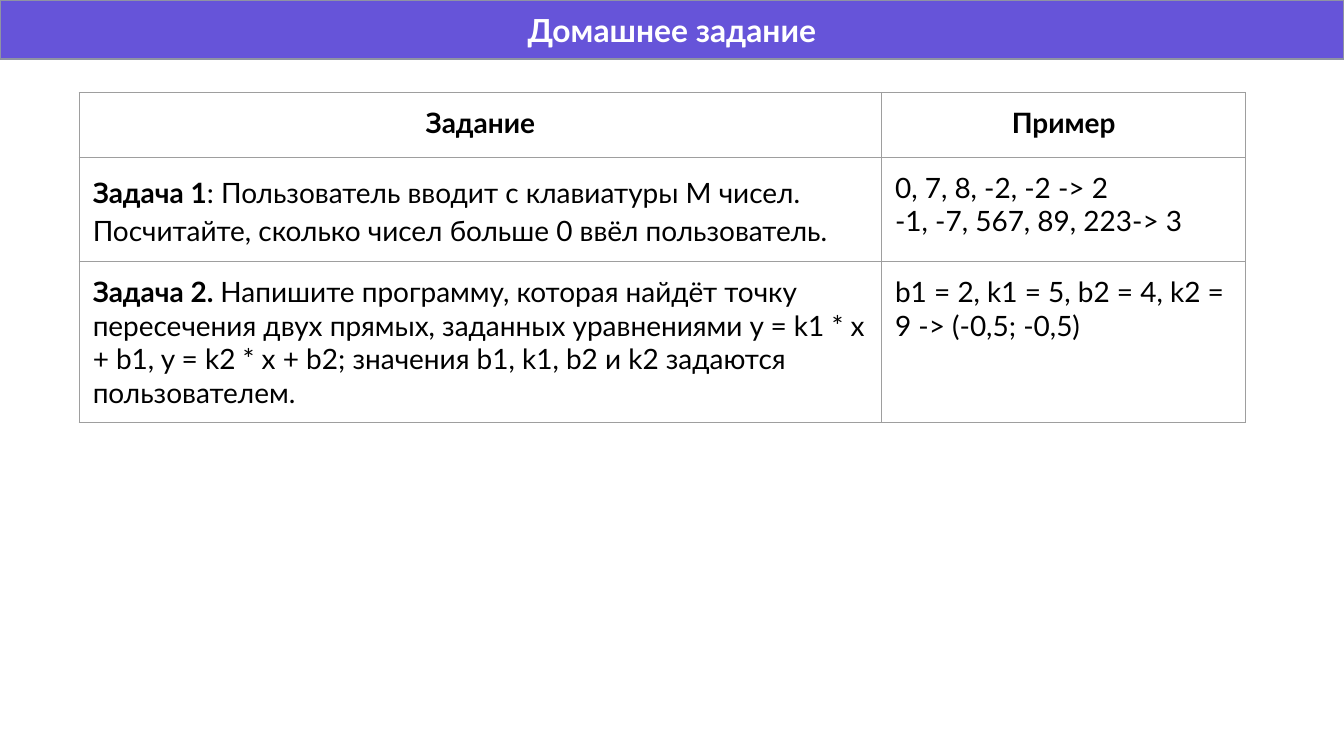
import pptx
import pptx.dml.color
import pptx.enum.text
import pptx.oxml
import pptx.oxml.ns
import pptx.util
from pptx.util import Inches

FONT = "Lato"
PADDING = Inches(0.1)
CENTER = pptx.enum.text.PP_ALIGN.CENTER
LEFT = pptx.enum.text.PP_ALIGN.LEFT

HOMEWORK = [
    [[[("Задание", True)]], [[("Пример", True)]]],
    [
        [[("Задача 1", True),
          (": Пользователь вводит с клавиатуры M чисел. "
           "Посчитайте, сколько чисел больше 0 ввёл пользователь.", False)]],
        [[("0, 7, 8, -2, -2 -> 2", False)], [("-1, -7, 567, 89, 223-> 3", False)]],
    ],
    [
        [[("Задача 2. ", True),
          ("Напишите программу, которая найдёт точку пересечения двух прямых, "
           "заданных уравнениями y = k1 * x + b1, y = k2 * x + b2; "
           "значения b1, k1, b2 и k2 задаются пользователем.", False)]],
        [[("b1 = 2, k1 = 5, b2 = 4, k2 = 9 -> (-0,5; -0,5)", False)]],
    ],
]


def color(hex_code):
    return pptx.dml.color.RGBColor.from_string(hex_code)


def add_run(paragraph, text, size, hex_code, bold):
    run = paragraph.add_run()
    run.text = text
    run.font.name = FONT
    run.font.size = pptx.util.Pt(size)
    run.font.bold = bold
    run.font.color.rgb = color(hex_code)


def set_padding(holder):
    holder.margin_left = holder.margin_right = PADDING
    holder.margin_top = holder.margin_bottom = PADDING


def set_borders(cell, hex_code, width):
    properties = cell._tc.get_or_add_tcPr()
    for position, side in enumerate(("lnL", "lnR", "lnT", "lnB")):
        border = pptx.oxml.parse_xml(
            f'<a:{side} {pptx.oxml.ns.nsdecls("a")} w="{pptx.util.Pt(width)}">'
            f'<a:solidFill><a:srgbClr val="{hex_code}"/></a:solidFill></a:{side}>'
        )
        properties.insert(position, border)


def fill_header(slide, left, top, width, height):
    header = slide.shapes.title
    header.left, header.top = Inches(left), Inches(top)
    header.width, header.height = Inches(width), Inches(height)
    header.fill.solid()
    header.fill.fore_color.rgb = color("6654D9")
    header.line.color.rgb = color("8F93A3")
    header.line.width = pptx.util.Pt(0.75)
    frame = header.text_frame
    frame.auto_size = pptx.enum.text.MSO_AUTO_SIZE.NONE
    frame.word_wrap = True
    frame.vertical_anchor = pptx.enum.text.MSO_ANCHOR.MIDDLE
    set_padding(frame)
    heading = frame.paragraphs[0]
    heading.alignment = CENTER
    add_run(heading, "Домашнее задание", 17, "FFFFFF", True)


def fill_cell(cell, paragraphs, alignment):
    cell.fill.background()
    set_padding(cell)
    set_borders(cell, "9E9E9E", 0.75)
    frame = cell.text_frame
    for index, runs in enumerate(paragraphs):
        paragraph = frame.add_paragraph() if index else frame.paragraphs[0]
        paragraph.alignment = alignment
        for text, bold in runs:
            add_run(paragraph, text, 15, "000000", bold)


def add_homework_table(slide, left, top, column_widths, row_heights):
    homework = slide.shapes.add_table(
        len(row_heights), len(column_widths), Inches(left), Inches(top),
        Inches(sum(column_widths)), Inches(sum(row_heights)),
    ).table
    homework.first_row = homework.horz_banding = False
    for column, width in zip(homework.columns, column_widths):
        column.width = Inches(width)
    for row_index, (row, height) in enumerate(zip(homework.rows, row_heights)):
        row.height = Inches(height)
        for cell, paragraphs in zip(row.cells, HOMEWORK[row_index]):
            fill_cell(cell, paragraphs, LEFT if row_index else CENTER)
    first_task = homework.cell(1, 0).text_frame.paragraphs[0]
    first_task.line_spacing = 1.15
    first_task.space_before = first_task.space_after = pptx.util.Pt(12)


def main():
    deck = pptx.Presentation()
    deck.slide_width = Inches(10)
    deck.slide_height = deck.slide_width * 9 // 16
    slide = deck.slides.add_slide(deck.slide_layouts[5])
    fill_header(slide, 0, 0, 10, 0.44)
    add_homework_table(slide, 0.59, 0.69, (5.97, 2.71), (0.48, 0.48, 1))
    deck.save("out.pptx")


if __name__ == "__main__":
    main()
